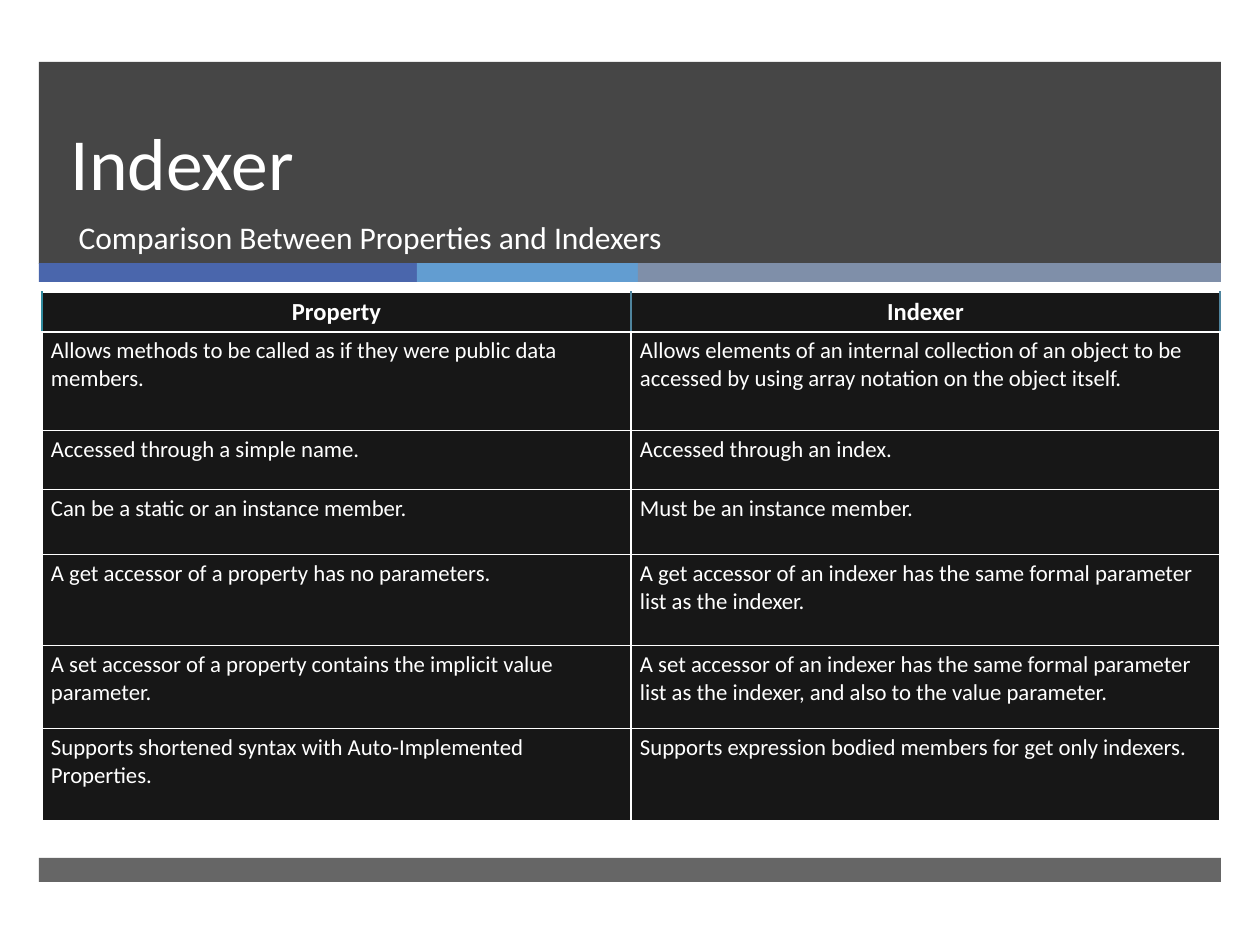
from lxml.etree import SubElement as Sub
from pptx import Presentation
from pptx.dml.color import RGBColor as Rgb
from pptx.enum.shapes import MSO_SHAPE as Kind
from pptx.enum.text import MSO_ANCHOR as Anchor, MSO_AUTO_SIZE as Auto, PP_ALIGN as Align
from pptx.oxml import parse_xml
from pptx.oxml.ns import nsdecls, qn
from pptx.util import Pt

PX = 914400 / 126
FONT = "Calibri"
HUES = {
    "white": "FFFFFF",
    "dark": "262626",
    "cell": "171717",
    "blue": "4A66AC",
    "sky": "629DD1",
    "slate": "7F8FA9",
    "teal": "308A9E",
    "steel": "50859E",
}
ROWS = [
    ("Property", "Indexer"),
    ("Allows methods to be called as if they were public data members.",
     "Allows elements of an internal collection of an object to be "
     "accessed by using array notation on the object itself."),
    ("Accessed through a simple name.", "Accessed through an index."),
    ("Can be a static or an instance member.", "Must be an instance member."),
    ("A get accessor of a property has no parameters.",
     "A get accessor of an indexer has the same formal parameter list as the indexer."),
    ("A set accessor of a property contains the implicit value parameter.",
     "A set accessor of an indexer has the same formal parameter "
     "list as the indexer, and also to the value parameter."),
    ("Supports shortened syntax with Auto-Implemented Properties.",
     "Supports expression bodied members for get only indexers."),
]
TALL = [40, 99, 59, 65, 91, 83, 92]


def emu(px):
    return round(px * PX)


def hue(name):
    return Rgb.from_string(HUES[name])


def write(para, text, size, bold=False):
    run = para.add_run()
    run.text = text
    font = run.font
    font.name, font.size, font.bold = FONT, Pt(size), bold
    font.color.rgb = hue("white")


def bar(slide, box, name, alpha=100):
    rect = slide.shapes.add_shape(Kind.RECTANGLE, *map(emu, box))
    rect.shadow.inherit = False
    rect.fill.solid()
    rect.fill.fore_color.rgb = hue(name)
    rect.line.fill.background()
    if alpha < 100:
        tint = rect.fill._xPr.find(".//" + qn("a:srgbClr"))
        Sub(tint, qn("a:alpha"), val=str(alpha * 1000))


def place(slide, holder, box, anchor, text, size):
    holder.left, holder.top, holder.width, holder.height = map(emu, box)
    frame = holder.text_frame
    frame.word_wrap = True
    frame.auto_size = Auto.NONE
    frame.vertical_anchor = anchor
    para = frame.paragraphs[0]
    para.alignment = Align.LEFT
    para.space_before = Pt(0)
    write(para, text, size)
    slide.shapes._spTree.append(holder._element)
    return para


def head(slide, box):
    left, top, width, tall = box
    bar(slide, box, "dark", 85)
    x = left
    for name, wide in (("blue", 378), ("sky", 221), ("slate", width - 599)):
        bar(slide, (x, top + tall - 1, wide, 19), name)
        x += wide
    title = place(slide, slide.shapes.title, (left + 19, top, 1076, 150),
                  Anchor.BOTTOM, "Indexer", 42)
    title.line_spacing = Pt(46)
    place(slide, slide.placeholders[1], (left + 27, top + 150, 1068, 67),
          Anchor.TOP, "Comparison Between Properties and Indexers", 18)


def edge(cell, sides):
    props = cell._tc.get_or_add_tcPr()
    for i, (side, (name, width)) in enumerate(sides.items()):
        props.insert(i, parse_xml(
            f'<a:ln{side} {nsdecls("a")} w="{Pt(width)}"><a:solidFill>'
            f'<a:srgbClr val="{HUES[name]}"/></a:solidFill></a:ln{side}>'))


def fill(cell, text, top, first):
    cell.fill.solid()
    cell.fill.fore_color.rgb = hue("cell")
    cell.margin_left = cell.margin_right = emu(9)
    cell.margin_top = cell.margin_bottom = emu(5)
    para = cell.text_frame.paragraphs[0]
    para.alignment = Align.CENTER if top else Align.LEFT
    write(para, text, 14 if top else 13, top)
    sides = dict.fromkeys("LRTB", ("white", 0.75))
    if top:
        sides["L"] = ("teal" if first else "steel", 1)
        sides["R"] = ("steel", 1)
    edge(cell, sides)


def grid(slide, box):
    frame = slide.shapes.add_table(len(ROWS), 2, *map(emu, box))
    table = frame.table
    for col in table.columns:
        col.width = emu(box[2] // 2)
    for r, (texts, tall) in enumerate(zip(ROWS, TALL)):
        table.rows[r].height = emu(tall)
        for c, text in enumerate(texts):
            fill(table.cell(r, c), text, r == 0, c == 0)


def main():
    deck = Presentation()
    deck.slide_width, deck.slide_height = emu(1260), emu(945)
    slide = deck.slides.add_slide(deck.slide_layouts[0])
    head(slide, (39, 62, 1182, 202))
    grid(slide, (42, 292, 1178, sum(TALL)))
    bar(slide, (39, 858, 1182, 24), "dark", 70)
    deck.save("out.pptx")


if __name__ == "__main__":
    main()
